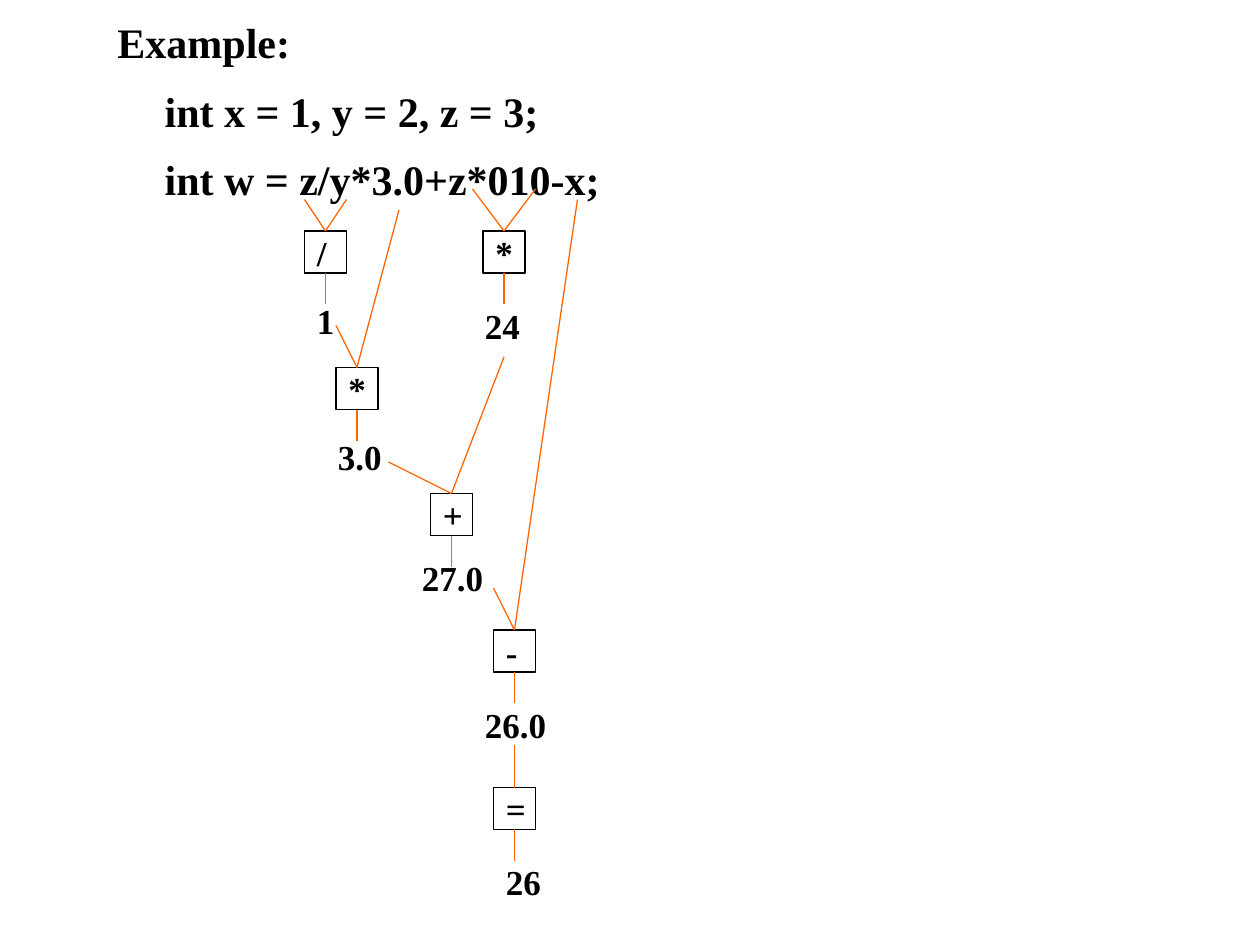
from lxml import etree
from pptx import Presentation
from pptx.dml.color import RGBColor
from pptx.enum import shapes, text
from pptx.oxml.ns import qn
from pptx.util import Pt

BLACK = RGBColor(0, 0, 0)
ORANGE = RGBColor(0xFF, 0x66, 0)
FONT = "Times New Roman"
SIDE, STEM, HANG = 24, 18, 27

CODE = ["Example:", "\tint x = 1, y = 2, z = 3;", "\tint w = z/y*3.0+z*010-x;"]

# value, left, top, width, height
VALUES = [
    ("1", 174, 168, 24, 30),
    ("3.0", 186, 246, 48, 30),
    ("24", 270, 174, 66, 24),
    ("27.0", 234, 312, 54, 36),
    ("26.0", 270, 396, 66, 36),
    ("26", 282, 486, 48, 36),
]

# operator, left, top, points where its operands start
NODES = [
    ("/", 174, 132, [(174, 114), (198, 114)]),
    ("*", 192, 210, [(228, 120), (192, 186)]),
    ("*", 276, 132, [(306, 108), (270, 108)]),
    ("+", 246, 282, [(288, 204), (222, 264)]),
    ("-", 282, 360, [(282, 336), (330, 114)]),
    ("=", 282, 450, [(294, 426)]),
]


def write(para, words, size):
    """Add one bold black run to a paragraph."""
    para.alignment = text.PP_ALIGN.LEFT
    run = para.add_run()
    run.text = words
    font = run.font
    font.name, font.size, font.bold = FONT, Pt(size), True
    font.color.rgb = BLACK


def label(shape, words):
    """Write a short label, centred in height, in a shape."""
    frame = shape.text_frame
    frame.word_wrap = True
    frame.vertical_anchor = text.MSO_ANCHOR.MIDDLE
    write(frame.paragraphs[0], words, 20)


def link(start, end):
    """Draw an orange line between two points."""
    line = slide.shapes.add_connector(
        shapes.MSO_CONNECTOR.STRAIGHT, *map(Pt, start + end))
    line.line.color.rgb = ORANGE
    line.line.width = Pt(0.75)
    etree.SubElement(line._element.spPr, qn("a:effectLst"))


def node(sign, left, top, starts):
    """Draw an operator box, its operand lines and its stem."""
    box = slide.shapes.add_shape(
        shapes.MSO_SHAPE.RECTANGLE, *map(Pt, (left, top, SIDE, SIDE)))
    box.shadow.inherit = False
    box.fill.background()
    box.line.color.rgb = BLACK
    box.line.width = Pt(0.75)
    label(box, sign)
    mid, base = left + SIDE / 2, top + SIDE
    for start in starts:
        link(start, (mid, top))
    link((mid, base), (mid, base + STEM))


def head():
    """Write the code lines with a hanging indent."""
    frame = slide.shapes.add_textbox(*map(Pt, (60, 0, 492, 138))).text_frame
    frame.word_wrap = True
    for i, words in enumerate(CODE):
        para = frame.add_paragraph() if i else frame.paragraphs[0]
        para.line_spacing = 1.2
        para.space_before = Pt(4.8 if i else 0)
        props = para._p.get_or_add_pPr()
        props.set("marL", str(Pt(HANG)))
        props.set("indent", str(-Pt(HANG)))
        write(para, words, 24)


deck = Presentation()
deck.slide_width, deck.slide_height = Pt(720), Pt(540)
slide = deck.slides.add_slide(deck.slide_layouts[6])

head()
for words, *place in VALUES:
    label(slide.shapes.add_textbox(*map(Pt, place)), words)
for item in NODES:
    node(*item)

deck.save("out.pptx")
